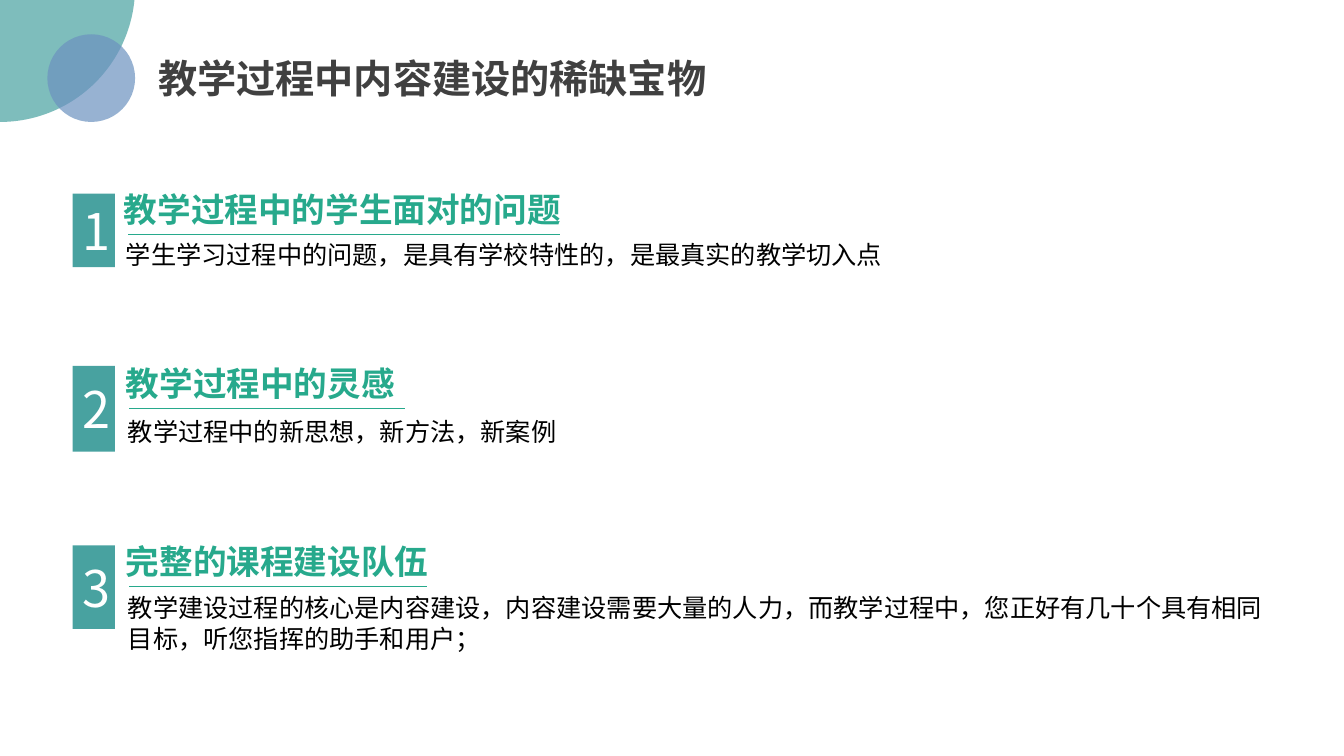
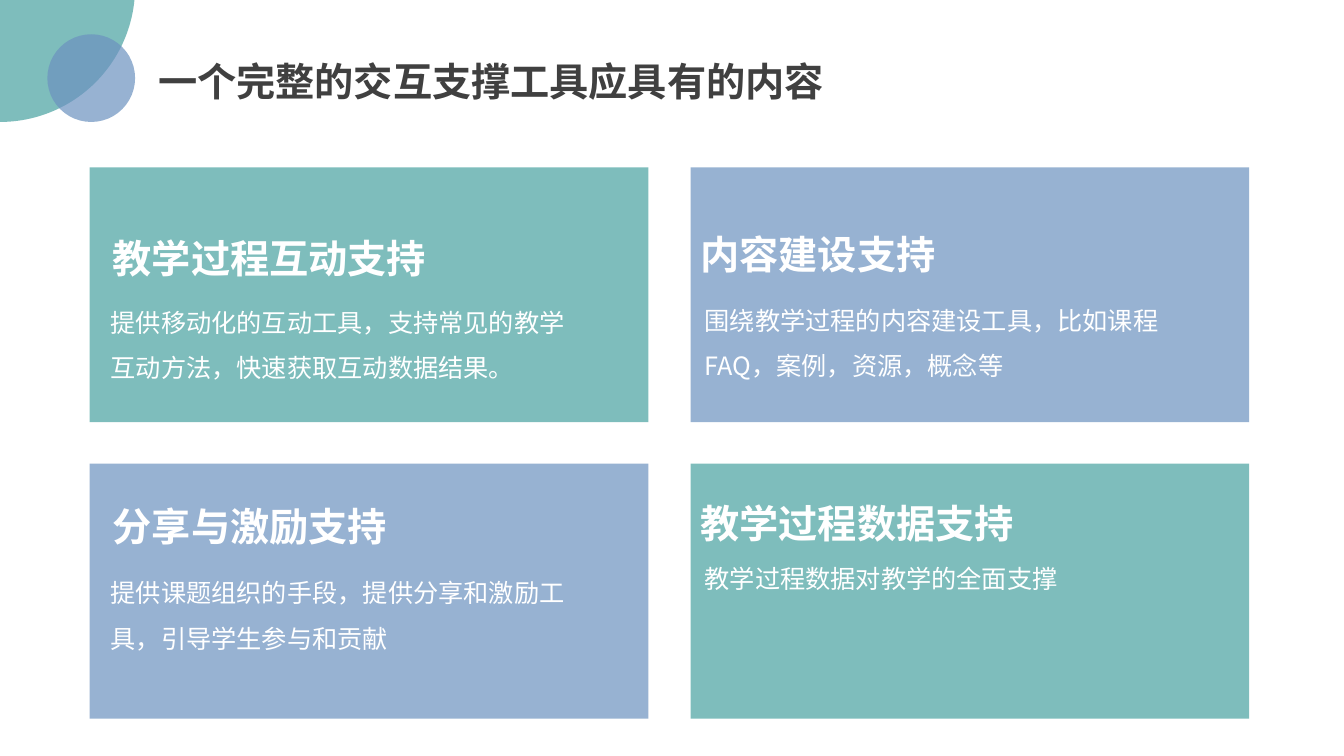
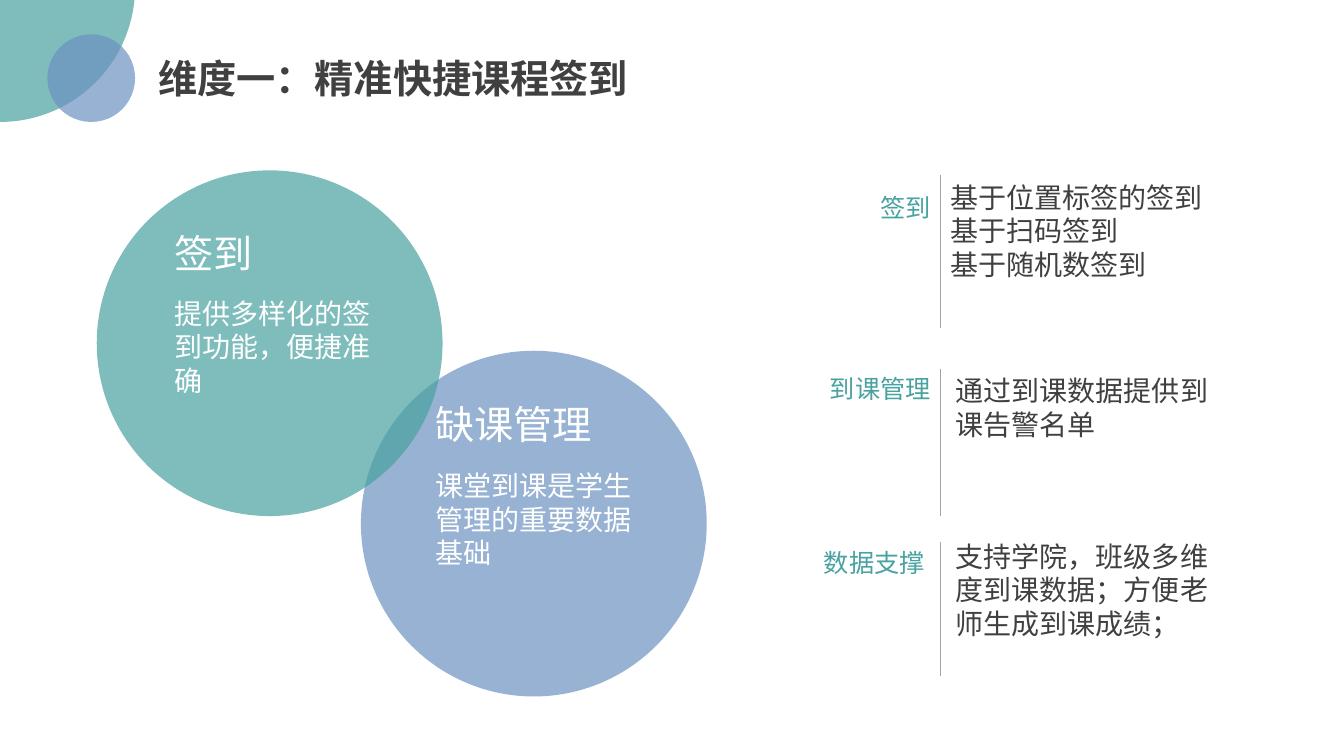
"""Build three slides on teaching content, interaction tools and course check-in."""
from dataclasses import dataclass

from lxml.etree import SubElement
from pptx import Presentation
from pptx.dml.color import RGBColor
from pptx.enum.shapes import MSO_CONNECTOR, MSO_SHAPE
from pptx.enum.text import MSO_ANCHOR, MSO_AUTO_SIZE, PP_ALIGN
from pptx.oxml.ns import qn
from pptx.shapes.autoshape import Shape
from pptx.slide import Slide
from pptx.text.text import TextFrame
from pptx.util import Inches, Pt

TEAL = RGBColor(0x48, 0xA2, 0xA0)
BLUE = RGBColor(0x6C, 0x92, 0xC0)
GREEN = RGBColor(0x27, 0xA9, 0x8C)
DARK = RGBColor(0x40, 0x40, 0x40)
GREY = RGBColor(0xA5, 0xA5, 0xA5)
BLACK = RGBColor(0, 0, 0)
WHITE = RGBColor(0xFF, 0xFF, 0xFF)
FONT = "Noto Sans CJK SC"
DIGIT_FONT = "Noto Sans CJK JP"
OPACITY = 70

Box = tuple[float, float, float, float]


@dataclass(frozen=True)
class Point:
    """A numbered point; its rule ends at rule_end."""
    number: str
    badge_top: float
    badge_height: float
    heading: str
    heading_box: Box
    rule_start: float
    rule_end: float
    rule_y: float
    body: str
    body_box: Box


@dataclass(frozen=True)
class Card:
    """A panel of the two-by-two grid."""
    row: int
    column: int
    heading: str
    heading_top: float
    heading_width: float
    body: str
    body_top: float
    body_height: float


@dataclass(frozen=True)
class Disc:
    """A large circle with a heading and a body."""
    left: float
    top: float
    colour: RGBColor
    heading: str
    heading_width: float
    body: str
    text_left: float
    heading_top: float
    body_top: float


@dataclass(frozen=True)
class Feature:
    """A label and its details, on two sides of a vertical rule."""
    label: str
    label_box: Box
    details: str
    details_box: Box
    rule_top: float
    rule_bottom: float


POINTS = (
    Point("1", 1.92, 0.73, "教学过程中的学生面对的问题", (1.13, 1.83, 8.04, 0.5),
          1.27, 5.55, 2.33,
          "学生学习过程中的问题，是具有学校特性的，是最真实的教学切入点",
          (1.15, 2.33, 11.65, 0.4)),
    Point("2", 3.63, 0.85, "教学过程中的灵感", (1.15, 3.55, 3.35, 0.5),
          1.28, 4.02, 4.05,
          "教学过程中的新思想，新方法，新案例", (1.17, 4.08, 11.65, 0.4)),
    Point("3", 5.41, 0.83, "完整的课程建设队伍", (1.15, 5.32, 3.29, 0.5),
          1.28, 4.24, 5.82,
          "教学建设过程的核心是内容建设，内容建设需要大量的人力，而教学过程中，"
          "您正好有几十个具有相同目标，听您指挥的助手和用户；",
          (1.17, 5.83, 11.65, 0.71)),
)
CARDS = (
    Card(0, 0, "教学过程互动支持", 2.28, 3.34,
         "提供移动化的互动工具，支持常见的教学互动方法，快速获取互动数据结果。", 2.85, 1.01),
    Card(0, 1, "内容建设支持", 2.24, 2.56,
         "围绕教学过程的内容建设工具，比如课程FAQ，案例，资源，概念等", 2.83, 1.01),
    Card(1, 0, "分享与激励支持", 4.93, 2.95,
         "提供课题组织的手段，提供分享和激励工具，引导学生参与和贡献", 5.53, 1.01),
    Card(1, 1, "教学过程数据支持", 4.9, 3.47,
         "教学过程数据对教学的全面支撑", 5.39, 0.48),
)
CARD_LEFT, CARD_TOP = 0.89, 1.66
CARD_WIDTH, CARD_HEIGHT = 5.54, 2.53
CARD_GAP_X, CARD_GAP_Y = 0.42, 0.41
HEADING_LEFTS = (1.02, 6.85)
BODY_LEFTS = (1, 6.89)

DISC_SIZE = 3.43
DISCS = (
    Disc(3.58, 3.48, BLUE, "缺课管理", 1.77,
         "课堂到课是学生管理的重要数据基础", 4.22, 3.92, 4.6),
    Disc(0.96, 1.69, TEAL, "签到", 0.99,
         "提供多样化的签到功能，便捷准确", 1.63, 2.23, 2.89),
)
FEATURE_RULE_X = 9.33
FEATURES = (
    Feature("签到", (7.19, 1.86, 2.14, 0.4),
            "基于位置标签的签到\n基于扫码签到\n基于随机数签到",
            (9.33, 1.74, 2.84, 1.45), 1.74, 3.25),
    Feature("到课管理", (7.31, 3.65, 2.02, 0.4),
            "通过到课数据提供到课告警名单", (9.38, 3.66, 2.84, 0.77), 3.66, 5.12),
    Feature("数据支撑", (7.25, 5.38, 2.02, 0.4),
            "支持学院，班级多维度到课数据；方便老师生成到课成绩；",
            (9.38, 5.3, 2.84, 1.11), 5.38, 6.71),
)


def write_text(frame: TextFrame, text: str, *, size: float, colour: RGBColor,
               bold: bool = False, font: str = FONT,
               align: PP_ALIGN = PP_ALIGN.LEFT, spacing: float = 1.0,
               wrap: bool = True) -> None:
    """Fill a frame, one paragraph for each line of the text."""
    frame.word_wrap = wrap
    for index, line in enumerate(text.split("\n")):
        paragraph = frame.add_paragraph() if index else frame.paragraphs[0]
        paragraph.alignment = align
        paragraph.line_spacing = spacing
        run = paragraph.add_run()
        run.text = line
        run.font.size = Pt(size)
        run.font.bold = bold
        run.font.color.rgb = colour
        run.font.name = font
        SubElement(run.font._element, qn("a:ea"), typeface=font)


def add_label(slide: Slide, box: Box, text: str, **style) -> None:
    """Add a text box that grows with its text."""
    frame = slide.shapes.add_textbox(*map(Inches, box)).text_frame
    write_text(frame, text, **style)
    frame.auto_size = MSO_AUTO_SIZE.SHAPE_TO_FIT_TEXT


def add_block(slide: Slide, kind: MSO_SHAPE, box: Box, colour: RGBColor,
              opacity: int = 100) -> Shape:
    """Add a filled shape without outline or shadow."""
    block = slide.shapes.add_shape(kind, *map(Inches, box))
    block.shadow.inherit = False
    block.fill.solid()
    block.fill.fore_color.rgb = colour
    block.line.fill.background()
    if opacity < 100:
        tint = block.element.spPr.find(qn("a:solidFill"))[0]
        SubElement(tint, qn("a:alpha"), val=str(opacity * 1000))
    return block


def add_rule(slide: Slide, ends: Box, colour: RGBColor) -> None:
    """Add a thin straight line from the first point to the second."""
    rule = slide.shapes.add_connector(MSO_CONNECTOR.STRAIGHT, *map(Inches, ends))
    rule.line.color.rgb = colour
    rule.line.width = Pt(0.5)
    SubElement(rule.element.spPr, qn("a:effectLst"))


def add_header(slide: Slide, title: str, width: float, top: float = 0.49) -> None:
    """Add the corner circles and the title."""
    add_block(slide, MSO_SHAPE.OVAL, (-1.34, -1.47, 2.68, 2.68), TEAL, OPACITY)
    add_block(slide, MSO_SHAPE.OVAL, (0.47, 0.34, 0.87, 0.87), BLUE, OPACITY)
    add_label(slide, (1.47, top, width, 0.57), title,
              size=28, colour=DARK, bold=True, wrap=False)


def add_point(slide: Slide, point: Point) -> None:
    """Draw a numbered point."""
    badge = add_block(slide, MSO_SHAPE.RECTANGLE,
                      (0.72, point.badge_top, 0.42, point.badge_height), TEAL)
    badge.text_frame.vertical_anchor = MSO_ANCHOR.MIDDLE
    write_text(badge.text_frame, point.number, size=36, colour=WHITE,
               font=DIGIT_FONT, align=PP_ALIGN.CENTER)
    add_rule(slide, (point.rule_start, point.rule_y, point.rule_end, point.rule_y), GREEN)
    add_label(slide, point.heading_box, point.heading, size=24, colour=GREEN, bold=True)
    add_label(slide, point.body_box, point.body, size=18, colour=BLACK)


def add_card(slide: Slide, card: Card) -> None:
    """Draw a panel with its heading and body."""
    left = CARD_LEFT + card.column * (CARD_WIDTH + CARD_GAP_X)
    top = CARD_TOP + card.row * (CARD_HEIGHT + CARD_GAP_Y)
    colour = BLUE if (card.row + card.column) % 2 else TEAL
    add_block(slide, MSO_SHAPE.RECTANGLE, (left, top, CARD_WIDTH, CARD_HEIGHT),
              colour, OPACITY)
    add_label(slide, (HEADING_LEFTS[card.column], card.heading_top,
                      card.heading_width, 0.57),
              card.heading, size=28, colour=WHITE, bold=True, wrap=False)
    add_label(slide, (BODY_LEFTS[card.column], card.body_top, 4.89, card.body_height),
              card.body, size=18, colour=WHITE, spacing=1.5)


def add_disc_text(slide: Slide, disc: Disc) -> None:
    """Write the heading and body of a circle."""
    add_label(slide, (disc.text_left, disc.heading_top, disc.heading_width, 0.57),
              disc.heading, size=28, colour=WHITE, wrap=False)
    add_label(slide, (disc.text_left, disc.body_top, 2.29, 1.11), disc.body,
              size=20, colour=WHITE)


def add_feature(slide: Slide, feature: Feature) -> None:
    """Draw a label, its rule and its details."""
    add_label(slide, feature.label_box, feature.label, size=18, colour=TEAL,
              align=PP_ALIGN.RIGHT)
    add_rule(slide, (FEATURE_RULE_X, feature.rule_top,
                     FEATURE_RULE_X, feature.rule_bottom), GREY)
    add_label(slide, feature.details_box, feature.details, size=20, colour=DARK)


def main() -> None:
    """Build and save the presentation."""
    deck = Presentation()
    deck.slide_width, deck.slide_height = Inches(13.33), Inches(7.5)
    blank = deck.slide_layouts[6]

    treasures = deck.slides.add_slide(blank)
    add_header(treasures, "教学过程中内容建设的稀缺宝物", 5.71)
    for point in POINTS:
        add_point(treasures, point)

    tools = deck.slides.add_slide(blank)
    add_header(tools, "一个完整的交互支撑工具应具有的内容", 6.88, top=0.52)
    for card in CARDS:
        add_card(tools, card)

    check_in = deck.slides.add_slide(blank)
    add_header(check_in, "维度一：精准快捷课程签到", 4.91)
    for disc in DISCS:
        add_block(check_in, MSO_SHAPE.OVAL,
                  (disc.left, disc.top, DISC_SIZE, DISC_SIZE), disc.colour, OPACITY)
    for disc in DISCS:
        add_disc_text(check_in, disc)
    for feature in FEATURES:
        add_feature(check_in, feature)

    deck.save("out.pptx")


if __name__ == "__main__":
    main()
